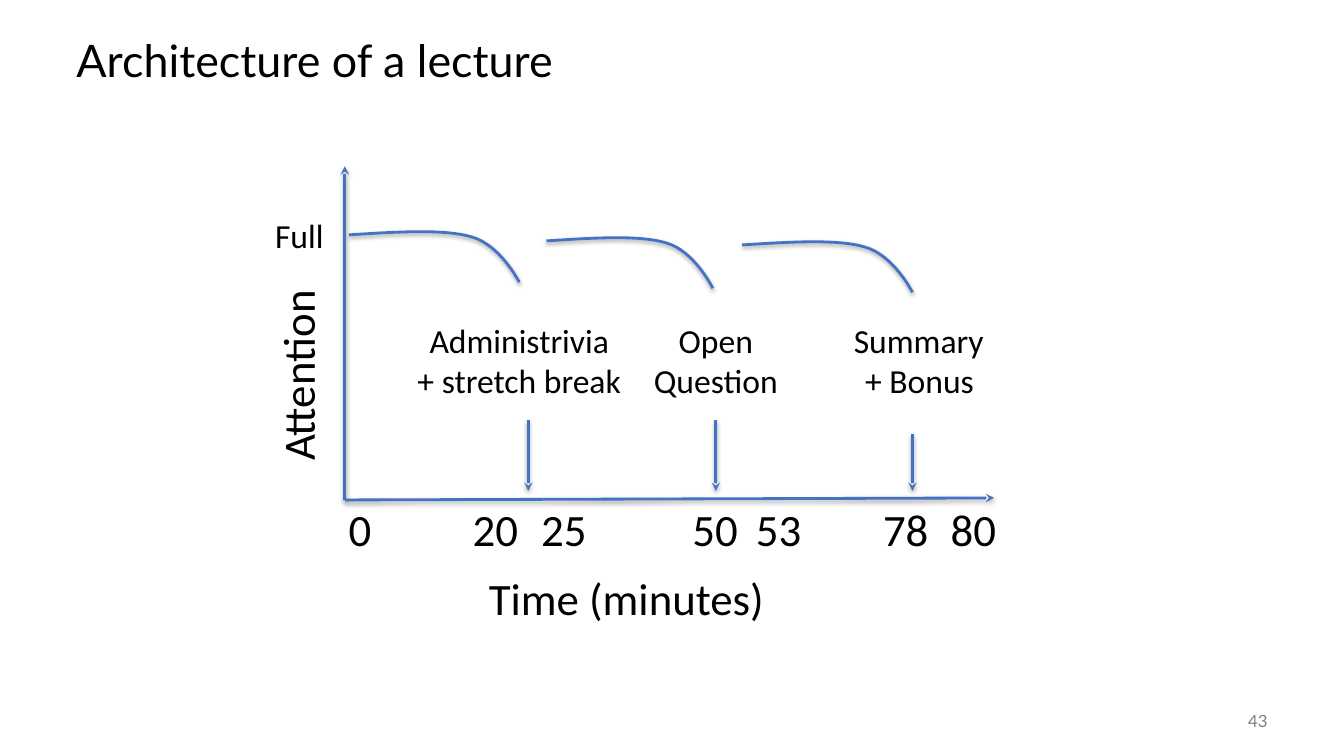
from lxml import etree
from pptx import Presentation
from pptx.enum import shapes, text
from pptx.oxml import parse_xml
from pptx.oxml.ns import nsdecls, qn
from pptx.util import Inches, Pt

# Content: lengths in inches, boxes as left, top, width, height
COLORS = {"ink": "000000", "number": "808080", "line": "4472C4"}
LEFT, CENTER, RIGHT = text.PP_ALIGN.LEFT, text.PP_ALIGN.CENTER, text.PP_ALIGN.RIGHT
TITLE = ("Architecture of a lecture", (0.66, 0.25, 12, 0.75))
SLIDE_NUMBER = ("43", (11.67, 6.95, 1, 0.4))
ATTENTION = ("Attention", (1.96, 3.36, 1.98, 0.64))
TIME = ("Time (minutes)", (4.75, 5.61, 3, 0.64))
FULL = ("Full", (2.63, 2.08, 0.8, 0.5))
MINUTES = [("0", 3.36), ("20", 4.59), ("25", 5.27), ("50", 6.77),
           ("53", 7.4), ("78", 8.66), ("80", 9.33)]
MINUTES_TOP = 4.93
ORIGIN = (3.42, 4.96)
AXIS_ENDS = [(3.42, 1.65), (9.86, 4.94)]
# Attention spans: left, top of the start, width
SPANS = [(3.46, 2.33, 1.69), (5.42, 2.39, 1.65), (7.36, 2.43, 1.69)]
# Span profile: share of the width, drop in inches, for two Bezier pieces
PROFILE = [[(0, 0), (0.28, -0.03), (0.56, -0.06), (0.72, 0.02)],
           [(0.72, 0.02), (0.89, 0.1), (1, 0.47), (1, 0.47)]]
STEPS = 16
# Breaks: lines with alignment, left, width, arrow x, arrow start
BREAKS = [
    ([("Administrivia", CENTER), ("+ stretch break", CENTER)], 4, 2.3, 5.24, 4.17),
    ([("Open", CENTER), ("Question", CENTER)], 6.27, 1.66, 7.1, 4.17),
    ([("Summary", LEFT), ("+ Bonus", CENTER)], 8.37, 1.5, 9.05, 4.31),
]
BREAK_TOP, BREAK_HEIGHT, ARROW_END = 3.12, 0.91, 4.87

SHADOW = (f'<a:effectLst {nsdecls("a")}><a:outerShdw blurRad="40000" dist="20000" '
          'dir="5400000" rotWithShape="0"><a:srgbClr val="000000">'
          '<a:alpha val="37000"/></a:srgbClr></a:outerShdw></a:effectLst>')

deck = Presentation()
deck.slide_width, deck.slide_height = Inches(13.33), Inches(7.5)
slide = deck.slides.add_slide(deck.slide_layouts[6])


def color(name):
    from_hex = type_rgb.from_string
    return from_hex(COLORS[name])


from pptx.dml.color import RGBColor as type_rgb


def add_label(lines, box, size, font="Calibri", ink="ink", middle=False):
    label = slide.shapes.add_textbox(*map(Inches, box))
    frame = label.text_frame
    frame.word_wrap = True
    if middle:
        frame.vertical_anchor = text.MSO_ANCHOR.MIDDLE
    for index, (words, align) in enumerate(lines):
        paragraph = frame.add_paragraph() if index else frame.paragraphs[0]
        paragraph.alignment = align
        run = paragraph.add_run()
        run.text = words
        run.font.name, run.font.size = font, Pt(size)
        run.font.color.rgb = color(ink)
    return label


def style_stroke(stroke):
    stroke.line.color.rgb = color("line")
    stroke.line.width = Pt(2)
    properties = stroke._element.spPr
    for effects in properties.findall(qn("a:effectLst")):
        properties.remove(effects)
    properties.append(parse_xml(SHADOW))


def add_arrow(start, end):
    arrow = slide.shapes.add_connector(
        shapes.MSO_CONNECTOR.STRAIGHT, *map(Inches, (*start, *end)))
    style_stroke(arrow)
    etree.SubElement(arrow.line._get_or_add_ln(), qn("a:tailEnd"), type="stealth")


def bezier(points, t):
    weights = ((1 - t) ** 3, 3 * t * (1 - t) ** 2, 3 * t * t * (1 - t), t ** 3)
    return [sum(w * p[axis] for w, p in zip(weights, points)) for axis in (0, 1)]


def add_span(left, top, width):
    profile = [bezier(piece, step / STEPS)
               for piece in PROFILE for step in range(STEPS + 1)]
    points = [(Inches(left + x * width), Inches(top + y)) for x, y in profile]
    builder = slide.shapes.build_freeform(*points[0])
    builder.add_line_segments(points[1:], close=False)
    span = builder.convert_to_shape()
    span.fill.background()
    style_stroke(span)


# Title and slide number
title = add_label([(TITLE[0], LEFT)], TITLE[1], 32, "Lato", middle=True)
title.text_frame.paragraphs[0].line_spacing = 0.9
add_label([(SLIDE_NUMBER[0], RIGHT)], SLIDE_NUMBER[1], 12, "Lato", "number", True)

# Axes and their labels
add_label([(ATTENTION[0], LEFT)], ATTENTION[1], 32).rotation = 270
add_label([(TIME[0], LEFT)], TIME[1], 32)
add_label([(FULL[0], LEFT)], FULL[1], 24)
for axis_end in AXIS_ENDS:
    add_arrow(ORIGIN, axis_end)
for minute, left in MINUTES:
    add_label([(minute, LEFT)], (left, MINUTES_TOP, 0.7, 0.64), 32)

# Attention spans
for span_place in SPANS:
    add_span(*span_place)

# Breaks with their arrows
for lines, left, width, arrow_x, arrow_top in BREAKS:
    add_label(lines, (left, BREAK_TOP, width, BREAK_HEIGHT), 24)
    add_arrow((arrow_x, arrow_top), (arrow_x, ARROW_END))

deck.save("out.pptx")
